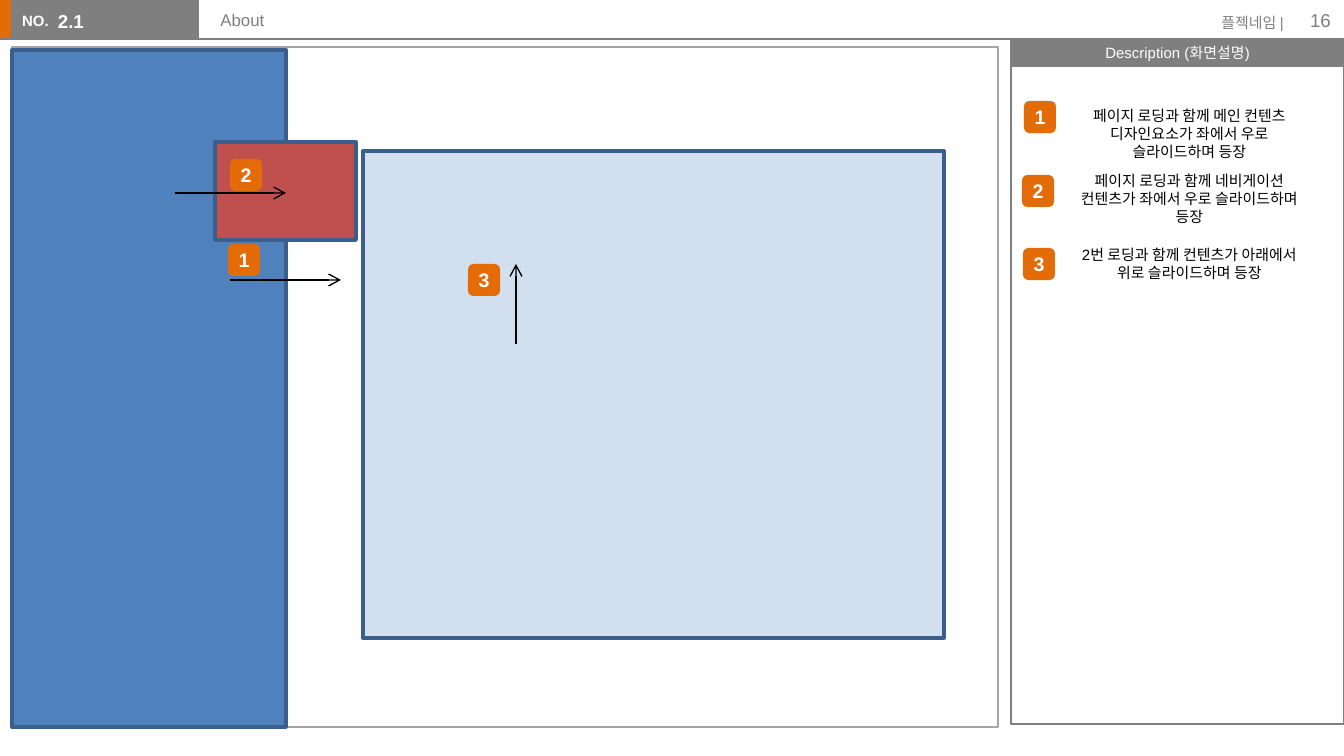
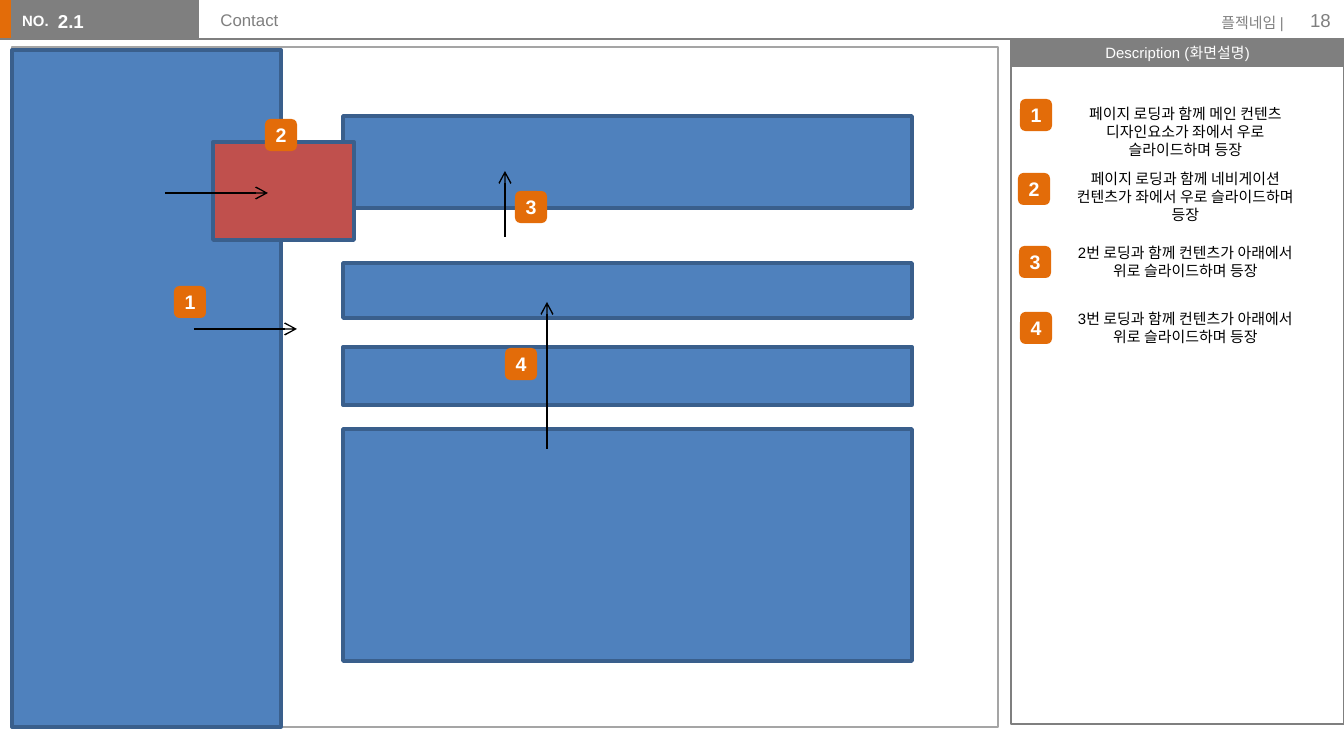
from lxml.etree import SubElement
from pptx import Presentation
from pptx.dml.color import RGBColor
from pptx.enum.shapes import MSO_CONNECTOR, MSO_SHAPE
from pptx.enum.text import MSO_ANCHOR, PP_ALIGN
from pptx.oxml.ns import qn
from pptx.util import Emu, Pt

# Shared style
ORANGE = RGBColor(0xE3, 0x6C, 0x09)
GRAY = RGBColor(0x7F, 0x7F, 0x7F)
SILVER = RGBColor(0xA5, 0xA5, 0xA5)
WHITE = RGBColor(0xFF, 0xFF, 0xFF)
BLACK = RGBColor(0, 0, 0)
BLUE = RGBColor(0x4F, 0x81, 0xBD)
NAVY = RGBColor(0x3A, 0x5F, 0x8C)
RED = RGBColor(0xC0, 0x50, 0x4D)
FONT = "Arial"
LEFT, MID, RIGHT = PP_ALIGN.LEFT, PP_ALIGN.CENTER, PP_ALIGN.RIGHT
DPI = 134.4
BADGE = 32
NOTE_W = 253

# Notes: text, top and height of the text, badge offset from the list origin
NOTES = [
    ("페이지 로딩과 함께 메인 컨텐츠 디자인요소가 좌에서 우로 슬라이드하며 등장", 0, 67, (-39, 1)),
    ("페이지 로딩과 함께 네비게이션 컨텐츠가 좌에서 우로 슬라이드하며 등장", 65, 67, (-41, 75)),
    ("2번 로딩과 함께 컨텐츠가 아래에서 위로 슬라이드하며 등장", 139, 50, (-40, 148)),
    ("3번 로딩과 함께 컨텐츠가 아래에서 위로 슬라이드하며 등장", 205, 50, (-39, 214)),
]

# Screens: blocks are (box, fill, opacity %); badges are numbered in order
BAR_X, BAR_W = 343, 569
BARS = [(116, 92), (263, 55), (347, 58), (429, 232)]
SCREENS = [
    {
        "title": "About", "page": "16", "origin": (1063, 100),
        "blocks": [((12, 50, 274, 677), BLUE, 100),
                   ((363, 151, 581, 487), BLUE, 25),
                   ((215, 142, 141, 98), RED, 100)],
        "arrows": [(230, 280, 341, 280), (175, 193, 286, 193), (516, 344, 516, 264)],
        "badges": [(228, 244), (230, 159), (468, 264)],
    },
    {
        "title": "Contact", "page": "18", "origin": (1059, 98),
        "blocks": [((12, 50, 269, 677), BLUE, 100),
                   *[((BAR_X, y, BAR_W, h), BLUE, 100) for y, h in BARS],
                   ((213, 142, 141, 98), RED, 100)],
        "arrows": [(194, 329, 297, 329), (165, 193, 268, 193),
                   (505, 237, 505, 171), (547, 449, 547, 302)],
        "badges": [(174, 286), (265, 119), (515, 191), (505, 348)],
    },
]


def px(*vals):
    return [Emu(round(v * 914400 / DPI)) for v in vals]


def write(shape, text, size, color, align=LEFT, bold=False,
          anchor=MSO_ANCHOR.TOP, wrap=True):
    frame = shape.text_frame
    frame.text = text
    frame.word_wrap = wrap
    frame.vertical_anchor = anchor
    par = frame.paragraphs[0]
    par.alignment = align
    for run in par.runs:
        run.font.name = FONT
        run.font.size = Pt(size)
        run.font.bold = bold
        run.font.color.rgb = color


def label(slide, box, *args, **style):
    shape = slide.shapes.add_textbox(*px(*box))
    write(shape, *args, **style)
    return shape


def block(slide, box, fill=None, line=None, width=0.75, alpha=100,
          kind=MSO_SHAPE.RECTANGLE):
    shape = slide.shapes.add_shape(kind, *px(*box))
    shape.shadow.inherit = False
    if fill is None:
        shape.fill.background()
    else:
        shape.fill.solid()
        shape.fill.fore_color.rgb = fill
        if alpha < 100:
            tone = shape.element.spPr.find(".//" + qn("a:srgbClr"))
            SubElement(tone, qn("a:alpha"), val=str(alpha * 1000))
    if line is None:
        shape.line.fill.background()
    else:
        shape.line.color.rgb = line
        shape.line.width = Pt(width)
    return shape


def rule(slide, ends, color, arrow=False):
    line = slide.shapes.add_connector(MSO_CONNECTOR.STRAIGHT, *px(*ends))
    line.line.color.rgb = color
    line.line.width = Pt(0.75)
    props = line.element.spPr
    if arrow:
        SubElement(props.find(qn("a:ln")), qn("a:tailEnd"), type="arrow")
    SubElement(props, qn("a:effectLst"))


def badge(slide, x, y, num):
    shape = block(slide, (x, y, BADGE, BADGE), ORANGE,
                  kind=MSO_SHAPE.ROUNDED_RECTANGLE)
    shape.adjustments[0] = 0.17
    shape.text_frame.margin_left = shape.text_frame.margin_right = 0
    write(shape, str(num), 10.5, WHITE, MID, True, MSO_ANCHOR.MIDDLE)


def header(slide, title, page):
    # Top band
    block(slide, (-1, 0, 16, 39), ORANGE)
    block(slide, (11, 0, 188, 39), GRAY)
    label(slide, (9, 5, 55, 32), "NO.", 8, WHITE, bold=True, wrap=False)
    rule(slide, (0, 39, 1029, 39), GRAY)
    code = label(slide, (58, 3, 148, 42), "2.1", 10, WHITE, bold=True)
    code.text_frame.margin_left = code.text_frame.margin_right = 0
    label(slide, (1200, 7, 97, 32), "플젝네임 |", 8, GRAY, RIGHT)
    label(slide, (1263, 0, 81, 40), page, 10, GRAY, RIGHT, anchor=MSO_ANCHOR.MIDDLE)
    head = slide.shapes.title
    head.left, head.top, head.width, head.height = px(207, 3, 754, 43)
    write(head, title, 9, GRAY)
    # Description column and screen area
    bar = block(slide, (1011, 39, 333, 28), GRAY)
    write(bar, "Description (화면설명)", 8, WHITE, MID, anchor=MSO_ANCHOR.MIDDLE)
    block(slide, (1011, 39, 333, 685), line=GRAY)
    block(slide, (12, 47, 986, 680), WHITE, SILVER, alpha=70)


def build(deck, screen):
    slide = deck.slides.add_slide(deck.slide_layouts[5])
    header(slide, screen["title"], screen["page"])
    # Screen mock-up
    for box, fill, alpha in screen["blocks"]:
        block(slide, box, fill, NAVY, 2, alpha)
    for ends in screen["arrows"]:
        rule(slide, ends, BLACK, arrow=True)
    # Badges and their notes
    left, top = screen["origin"]
    for num, (spot, note) in enumerate(zip(screen["badges"], NOTES), 1):
        text, y, high, (dx, dy) = note
        badge(slide, *spot, num)
        badge(slide, left + dx, top + dy, num)
        label(slide, (left, top + y, NOTE_W, high), text, 8, BLACK, MID)


def main():
    deck = Presentation()
    deck.slide_width, deck.slide_height = px(1344, 756)
    for screen in SCREENS:
        build(deck, screen)
    deck.save("out.pptx")


if __name__ == "__main__":
    main()
